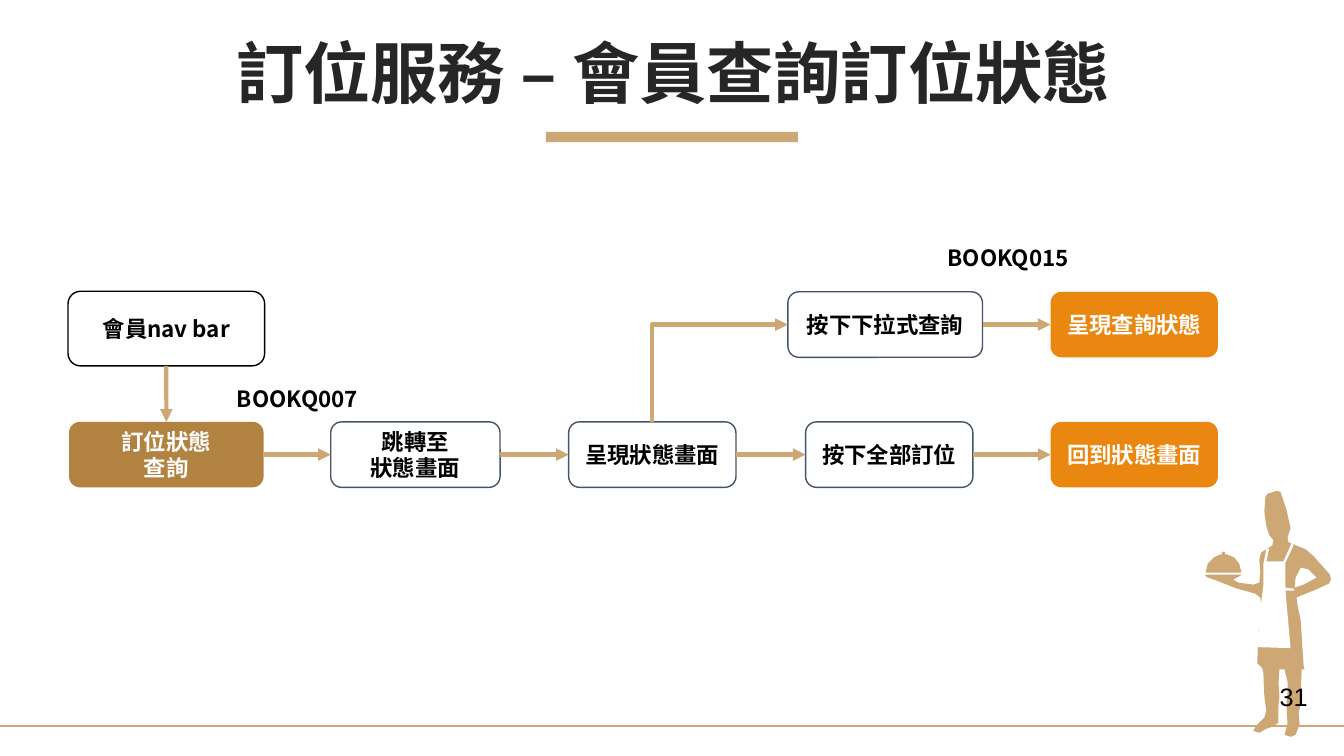
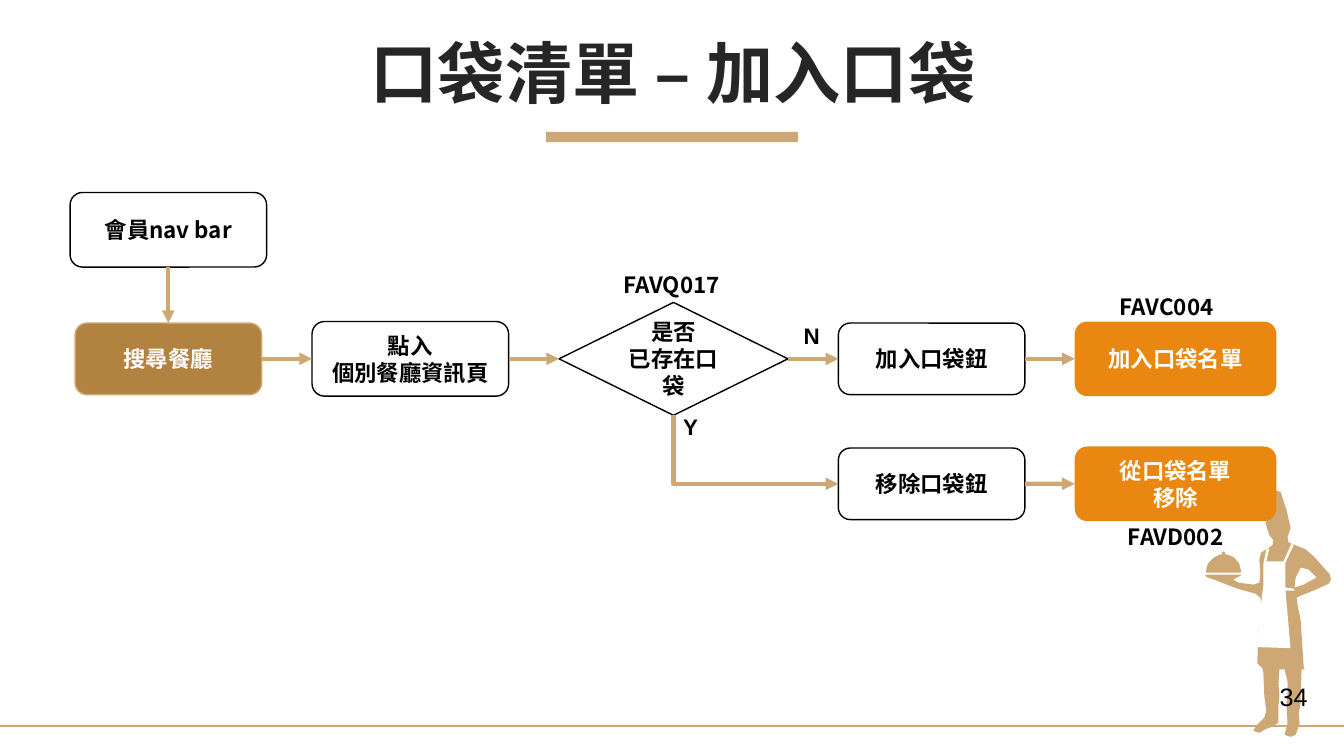
from copy import deepcopy
from dataclasses import dataclass
from typing import Optional

from lxml.etree import SubElement
from pptx import Presentation
from pptx.dml.color import RGBColor
from pptx.enum.shapes import MSO_CONNECTOR, MSO_SHAPE
from pptx.enum.text import MSO_ANCHOR, PP_ALIGN
from pptx.oxml.ns import qn
from pptx.util import Inches, Pt

SLIDE_W, SLIDE_H = 13.33, 7.5
CJK, LATIN = "Noto Sans CJK SC", "Arial"
TAN = RGBColor(0xCD, 0xA8, 0x74)
BROWN = RGBColor(0xB1, 0x82, 0x40)
ORANGE = RGBColor(0xEA, 0x87, 0x10)
SLATE = RGBColor(0x44, 0x54, 0x6A)
INK = RGBColor(0x26, 0x26, 0x26)
BLACK = RGBColor(0, 0, 0)
WHITE = RGBColor(0xFF, 0xFF, 0xFF)

# Connection sites of a box
TOP, LEFT, BOTTOM, RIGHT = range(4)

# Waiter outlines, in hundredths of an inch
BODY = [
    (1198, 570), (1232, 570), (1227, 573), (1223, 575), (1228, 578), (1235, 579),
    (1243, 580), (1249, 578), (1250, 568), (1249, 555), (1251, 548), (1256, 545),
    (1262, 541), (1263, 536), (1259, 531), (1256, 522), (1254, 508), (1255, 493),
    (1257, 490), (1266, 487), (1270, 488), (1273, 497), (1276, 506), (1278, 515),
    (1280, 524), (1277, 533), (1278, 538), (1285, 541), (1295, 545), (1303, 552),
    (1319, 570), (1320, 575), (1318, 579), (1305, 585), (1290, 591), (1286, 593),
    (1287, 601), (1290, 615), (1293, 661), (1294, 664), (1291, 664), (1290, 692),
    (1290, 698), (1288, 708), (1289, 718), (1285, 729), (1280, 731), (1274, 729),
    (1277, 718), (1276, 699), (1277, 687), (1277, 676), (1274, 664), (1269, 664),
    (1268, 678), (1269, 691), (1268, 700), (1268, 713), (1268, 717), (1262, 721),
    (1256, 723), (1249, 727), (1243, 725), (1246, 720), (1254, 712), (1256, 705),
    (1254, 691), (1253, 667), (1252, 663), (1247, 658), (1248, 628), (1251, 600),
    (1250, 593), (1245, 589), (1227, 584), (1209, 577), (1204, 575), (1198, 573),
    (1195, 571)]
ELBOW_GAP = [(1284, 583), (1293, 580), (1306, 573), (1298, 565), (1290, 563), (1285, 573)]
APRON = [
    (1281, 539), (1273, 557), (1256, 557), (1259, 544), (1256, 545), (1253, 560),
    (1253, 581), (1249, 614), (1247, 642), (1280, 643), (1275, 586), (1284, 586),
    (1283, 584), (1275, 583), (1275, 558), (1283, 541)]
DISH = [
    (1214, 547), (1212, 548), (1212, 550), (1210, 550), (1204, 553), (1198, 559),
    (1196, 567), (1196, 568), (1231, 568), (1231, 567), (1229, 559), (1224, 553),
    (1217, 550), (1215, 550), (1215, 548)]


@dataclass(frozen=True)
class Style:
    fill: RGBColor = WHITE
    line: Optional[RGBColor] = BLACK
    text: RGBColor = BLACK
    shape: MSO_SHAPE = MSO_SHAPE.ROUNDED_RECTANGLE


PLAIN = Style()
STEP = Style(line=SLATE)
START = Style(BROWN, None, WHITE)
START_EDGED = Style(BROWN, TAN, WHITE)
RESULT = Style(ORANGE, None, WHITE)
DECISION = Style(shape=MSO_SHAPE.FLOWCHART_DECISION)


@dataclass(frozen=True)
class Box:
    col: int
    row: int
    text: str
    style: Style
    w: float
    h: float
    dx: float = 0
    dy: float = 0


@dataclass(frozen=True)
class Arrow:
    """Joins two boxes, given by their place in the flow."""
    start: int
    end: int
    out: int = RIGHT
    into: int = LEFT


@dataclass(frozen=True)
class Label:
    text: str
    x: float  # centre
    y: float
    font: str = CJK


@dataclass(frozen=True)
class Flow:
    title: str
    number: int
    cols: tuple  # centres of the columns
    rows: tuple  # centres of the rows
    boxes: list
    arrows: list
    labels: list


FLOWS = [
    Flow(
        "訂位服務 – 會員查詢訂位狀態", 31,
        (1.65, 4.12, 6.47, 8.82, 11.25), (3.22, 4.51),
        [Box(0, 0, "會員nav bar", PLAIN, 1.95, 0.74, dy=0.04),
         Box(0, 1, "訂位狀態\n查詢", START, 1.93, 0.65),
         Box(1, 1, "跳轉至\n狀態畫面", STEP, 1.68, 0.65),
         Box(2, 1, "呈現狀態畫面", STEP, 1.66, 0.65),
         Box(3, 1, "按下全部訂位", STEP, 1.66, 0.65),
         Box(4, 1, "回到狀態畫面", RESULT, 1.66, 0.65),
         Box(3, 0, "按下下拉式查詢", STEP, 1.93, 0.65, dx=-0.04),
         Box(4, 0, "呈現查詢狀態", RESULT, 1.66, 0.65)],
        [Arrow(0, 1, BOTTOM, TOP), Arrow(1, 2), Arrow(2, 3), Arrow(3, 4),
         Arrow(4, 5), Arrow(3, 6, TOP), Arrow(6, 7)],
        [Label("BOOKQ007", 2.95, 3.96), Label("BOOKQ015", 10, 2.56)]),
    Flow(
        "口袋清單 – 加入口袋", 34,
        (1.67, 4.07, 6.68, 9.24, 11.66), (2.28, 3.56, 4.8),
        [Box(0, 0, "會員nav bar", PLAIN, 1.95, 0.74),
         Box(0, 1, "搜尋餐廳", START_EDGED, 1.85, 0.71),
         Box(1, 1, "點入\n個別餐廳資訊頁", PLAIN, 1.95, 0.74),
         Box(2, 1, "是否\n已存在口袋", DECISION, 2.27, 1.12),
         Box(3, 1, "加入口袋鈕", PLAIN, 1.85, 0.71),
         Box(4, 1, "加入口袋名單", RESULT, 2, 0.74),
         Box(3, 2, "移除口袋鈕", PLAIN, 1.85, 0.71),
         Box(4, 2, "從口袋名單\n移除", RESULT, 2, 0.74)],
        [Arrow(0, 1, BOTTOM, TOP), Arrow(1, 2), Arrow(2, 3), Arrow(3, 4),
         Arrow(4, 5), Arrow(3, 6, BOTTOM), Arrow(6, 7)],
        [Label("FAVQ017", 6.66, 2.83), Label("FAVC004", 11.57, 3.04),
         Label("FAVD002", 11.66, 5.33), Label("N", 8.05, 3.33, LATIN),
         Label("Y", 6.85, 4.23, LATIN)]),
]


def write(sp, text: str, *, size=16, color=BLACK, font=CJK, bold=True,
          anchor=MSO_ANCHOR.MIDDLE, wrap=True, spacing=None) -> None:
    tf = sp.text_frame
    tf.word_wrap = wrap
    tf.vertical_anchor = anchor
    p = tf.paragraphs[0]
    p.text = text
    p.alignment = PP_ALIGN.CENTER
    if spacing:
        p.line_spacing = spacing
    for r in p.runs:
        r.font.size, r.font.bold, r.font.name = Pt(size), bold, font
        r.font.color.rgb = color
        SubElement(r._r.rPr, qn("a:ea")).set("typeface", font)
    # Line breaks take the size of the text around them
    for br in p._p.findall(qn("a:br")):
        br.insert(0, deepcopy(p.runs[0]._r.rPr))


def paint(sp, fill: RGBColor, line: Optional[RGBColor] = None) -> None:
    sp.shadow.inherit = False
    sp.fill.solid()
    sp.fill.fore_color.rgb = fill
    if line is None:
        sp.line.fill.background()
    else:
        sp.line.color.rgb = line
        sp.line.width = Pt(1)


def add_text(s, text: str, x: float, y: float, w: float, h: float, **fmt) -> None:
    """Adds a text box centred on x, y."""
    sp = s.shapes.add_textbox(Inches(x - w / 2), Inches(y - h / 2), Inches(w), Inches(h))
    write(sp, text, **fmt)


def add_line(s, kind, x1=0.0, y1=0.0, x2=1.0, y2=1.0, width=3.0):
    cxn = s.shapes.add_connector(kind, Inches(x1), Inches(y1), Inches(x2), Inches(y2))
    cxn.line.color.rgb = TAN
    cxn.line.width = Pt(width)
    SubElement(cxn._element.spPr, qn("a:effectLst"))
    return cxn


def add_outline(s, fill: RGBColor, *contours: list) -> None:
    fb = s.shapes.build_freeform(*contours[0][0], scale=Inches(0.01))
    fb.add_line_segments(contours[0][1:], close=True)
    for contour in contours[1:]:
        fb.move_to(*contour[0])
        fb.add_line_segments(contour[1:], close=True)
    paint(fb.convert_to_shape(), fill)


def add_frame(s, title: str) -> None:
    """Draws what all slides share: title, bar, foot line and waiter."""
    bar_w = 2.5
    bar = s.shapes.add_shape(MSO_SHAPE.RECTANGLE, Inches((SLIDE_W - bar_w) / 2),
                             Inches(1.31), Inches(bar_w), Inches(0.1))
    paint(bar, TAN)
    foot_y = SLIDE_H * 0.96
    add_line(s, MSO_CONNECTOR.STRAIGHT, 0, foot_y, SLIDE_W, foot_y, 1.5)
    add_outline(s, TAN, BODY, ELBOW_GAP)
    add_outline(s, WHITE, APRON)
    add_outline(s, TAN, DISH)
    add_text(s, title, SLIDE_W / 2 + 0.01, 0.76, SLIDE_W * 0.95, 0.79,
             size=48, color=INK, spacing=0.9)


def add_box(s, box: Box, flow: Flow):
    x = flow.cols[box.col] + box.dx - box.w / 2
    y = flow.rows[box.row] + box.dy - box.h / 2
    sp = s.shapes.add_shape(box.style.shape, Inches(x), Inches(y),
                            Inches(box.w), Inches(box.h))
    paint(sp, box.style.fill, box.style.line)
    write(sp, box.text, color=box.style.text)
    return sp


def add_arrow(s, arrow: Arrow, shapes: list) -> None:
    ends = [(shapes[arrow.start], arrow.out), (shapes[arrow.end], arrow.into)]
    bent = arrow.out != RIGHT and arrow.into == LEFT
    if bent:  # a one-corner elbow runs sideways first, so it is drawn from its tip
        ends.reverse()
    cxn = add_line(s, MSO_CONNECTOR.ELBOW if bent else MSO_CONNECTOR.STRAIGHT)
    cxn.begin_connect(*ends[0])
    cxn.end_connect(*ends[1])
    if bent:
        cxn._element.spPr.find(qn("a:prstGeom")).set("prst", "bentConnector2")
    ln = cxn.line._get_or_add_ln()
    SubElement(ln, qn("a:headEnd" if bent else "a:tailEnd")).set("type", "triangle")


def add_flow(prs, flow: Flow) -> None:
    s = prs.slides.add_slide(prs.slide_layouts[6])
    add_frame(s, flow.title)
    shapes = [add_box(s, box, flow) for box in flow.boxes]
    for arrow in flow.arrows:
        add_arrow(s, arrow, shapes)
    for label in flow.labels:
        add_text(s, label.text, label.x, label.y, 0.36 if len(label.text) == 1 else 1.45,
                 0.37, font=label.font, anchor=MSO_ANCHOR.TOP, wrap=False)
    add_text(s, str(flow.number), 12.83, 6.91, 0.48, 0.4, size=18, font=LATIN,
             bold=False, anchor=MSO_ANCHOR.TOP, wrap=False)


def main() -> None:
    prs = Presentation()
    prs.slide_width, prs.slide_height = Inches(SLIDE_W), Inches(SLIDE_H)
    for flow in FLOWS:
        add_flow(prs, flow)
    prs.save("out.pptx")


if __name__ == "__main__":
    main()
